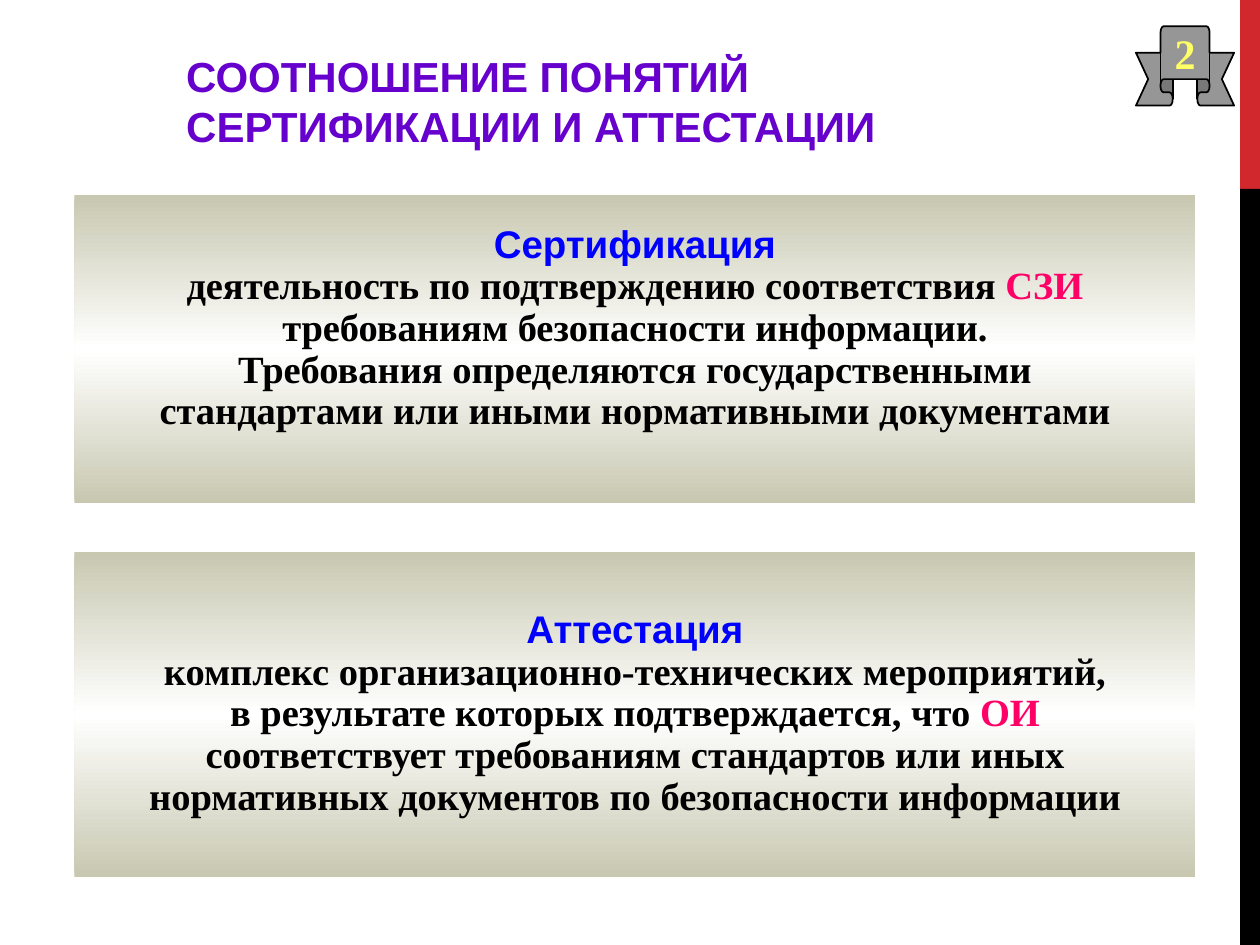
from copy import deepcopy

from pptx import Presentation
from pptx.dml.color import RGBColor
from pptx.enum.shapes import MSO_SHAPE
from pptx.enum.text import MSO_ANCHOR, PP_ALIGN
from pptx.util import Cm, Pt

COLORS = {
    "red": "D1282E",
    "black": "000000",
    "title": "6600CC",
    "heading": "0000FF",
    "accent": "FF0066",
    "edge": "C8C8B1",
    "middle": "FFFFFF",
    "ribbon": "969696",
    "number": "FFFF66",
}
TITLE = "СООТНОШЕНИЕ ПОНЯТИЙ СЕРТИФИКАЦИИ И АТТЕСТАЦИИ"
NUMBER = "2"
SIDE_BARS = [("red", 0, 3.81), ("black", 3.81, 15.24)]
PANELS = [
    {
        "top": 3.94, "height": 6.2, "bottom_inset": 0.94,
        "heading": "Сертификация",
        "lines": [
            ("деятельность по подтверждению соответствия ", "СЗИ"),
            ("требованиям безопасности информации.", ""),
            ("Требования определяются государственными", ""),
            ("стандартами или иными нормативными документами", ""),
        ],
    },
    {
        "top": 11.13, "height": 6.55, "bottom_inset": 0.13,
        "heading": "Аттестация",
        "lines": [
            ("комплекс организационно-технических мероприятий,", ""),
            ("в результате которых подтверждается, что ", "ОИ"),
            ("соответствует требованиям стандартов или иных", ""),
            ("нормативных документов по безопасности информации", ""),
        ],
    },
]


def color(name):
    return RGBColor.from_string(COLORS[name])


def style(font, face, size, name):
    font.name, font.size, font.bold = face, Pt(size), True
    font.color.rgb = color(name)


def add_box(page, kind, left, top, width, height, fill=None):
    box = page.shapes.add_shape(kind, Cm(left), Cm(top), Cm(width), Cm(height))
    box.shadow.inherit = False
    box.line.fill.background()
    if fill:
        box.fill.solid()
        box.fill.fore_color.rgb = color(fill)
    box.text_frame.word_wrap = False
    box.text_frame.vertical_anchor = MSO_ANCHOR.MIDDLE
    return box


def fill_band(box):
    box.fill.gradient()
    box.fill.gradient_angle = 90
    stops = box.fill.gradient_stops
    for stop, name in zip(stops, ("edge", "middle")):
        stop.color.rgb = color(name)
    stop_list = box.fill._fill._gradFill.gsLst
    stop_list.append(deepcopy(stop_list[0]))
    for stop, position in zip(stop_list, (0, 50000, 100000)):
        stop.set("pos", str(position))


def add_panel(page, panel):
    box = add_box(page, MSO_SHAPE.RECTANGLE, 1.5, panel["top"], 22.6, panel["height"])
    fill_band(box)
    frame = box.text_frame
    frame.margin_bottom = Cm(panel["bottom_inset"])
    for index, (text, accent) in enumerate([(panel["heading"], ""), *panel["lines"]]):
        para = frame.add_paragraph() if index else frame.paragraphs[0]
        para.alignment = PP_ALIGN.CENTER
        para.line_spacing = 0.9
        face, name = ("Times New Roman", "black") if index else ("Arial", "heading")
        style(para.font, face, 22, name)
        para.add_run().text = text
        if accent:
            style(para.runs[0].font, face, 22, name)
            span = para.add_run()
            span.text = accent
            style(span.font, face, 22, "accent")


def add_title(page):
    title = page.shapes.title
    title.left, title.top, title.width, title.height = Cm(3.5), Cm(0), Cm(18.6), Cm(3.17)
    frame = title.text_frame
    frame.text = TITLE
    frame.word_wrap = True
    frame.vertical_anchor = MSO_ANCHOR.BOTTOM
    para = frame.paragraphs[0]
    para.alignment = PP_ALIGN.LEFT
    style(para.font, "Arial", 24, "title")


def add_ribbon(page):
    ribbon = add_box(page, MSO_SHAPE.UP_RIBBON, 22.9, 0.53, 1.98, 1.6, "ribbon")
    ribbon.adjustments[0] = 0.33333
    ribbon.adjustments[1] = 0.5
    ribbon.line.color.rgb = color("black")
    ribbon.line.width = Pt(1)
    para = ribbon.text_frame.paragraphs[0]
    para.text = NUMBER
    para.alignment = PP_ALIGN.CENTER
    style(para.font, "Times New Roman", 24, "number")


def main():
    deck = Presentation()
    deck.slide_width, deck.slide_height = Cm(25.4), Cm(19.05)
    page = deck.slides.add_slide(deck.slide_layouts[5])
    for name, top, height in SIDE_BARS:
        add_box(page, MSO_SHAPE.RECTANGLE, 25, top, 0.4, height, name)
    add_title(page)
    for panel in PANELS:
        add_panel(page, panel)
    add_ribbon(page)
    deck.save("out.pptx")


if __name__ == "__main__":
    main()
